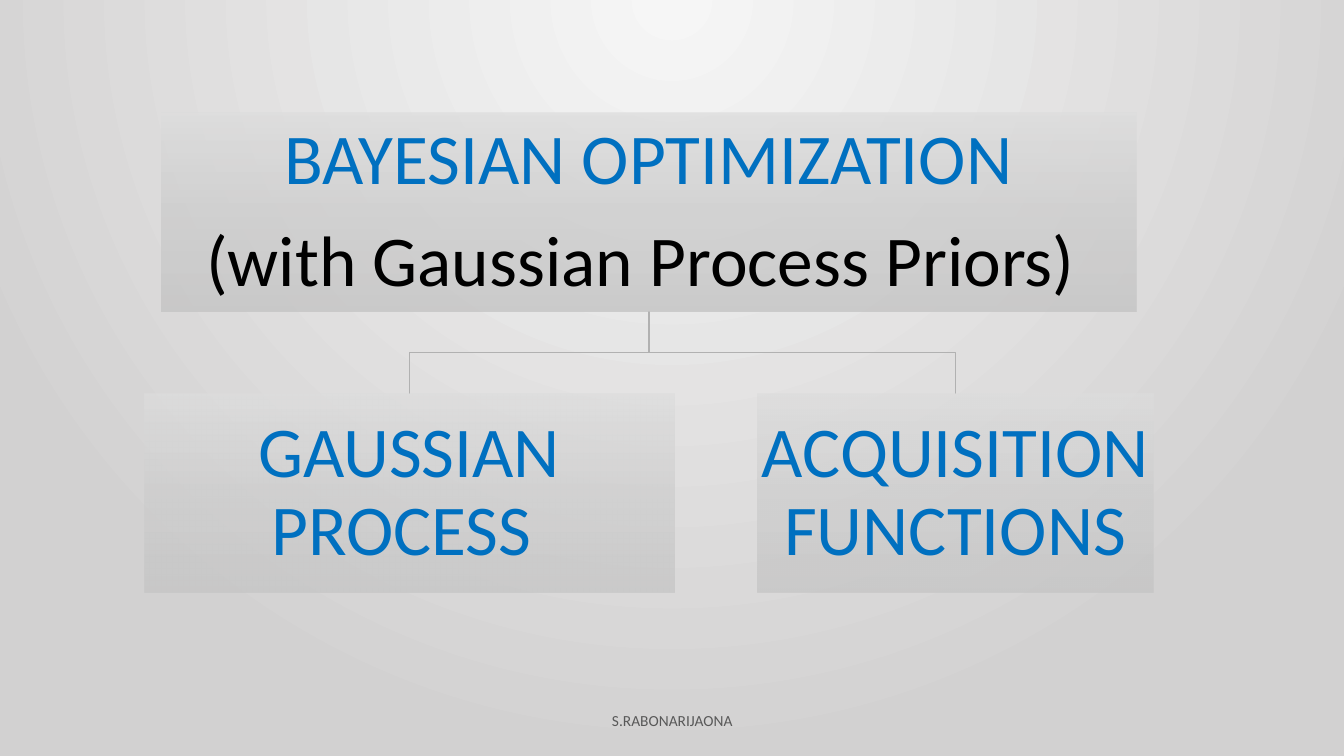
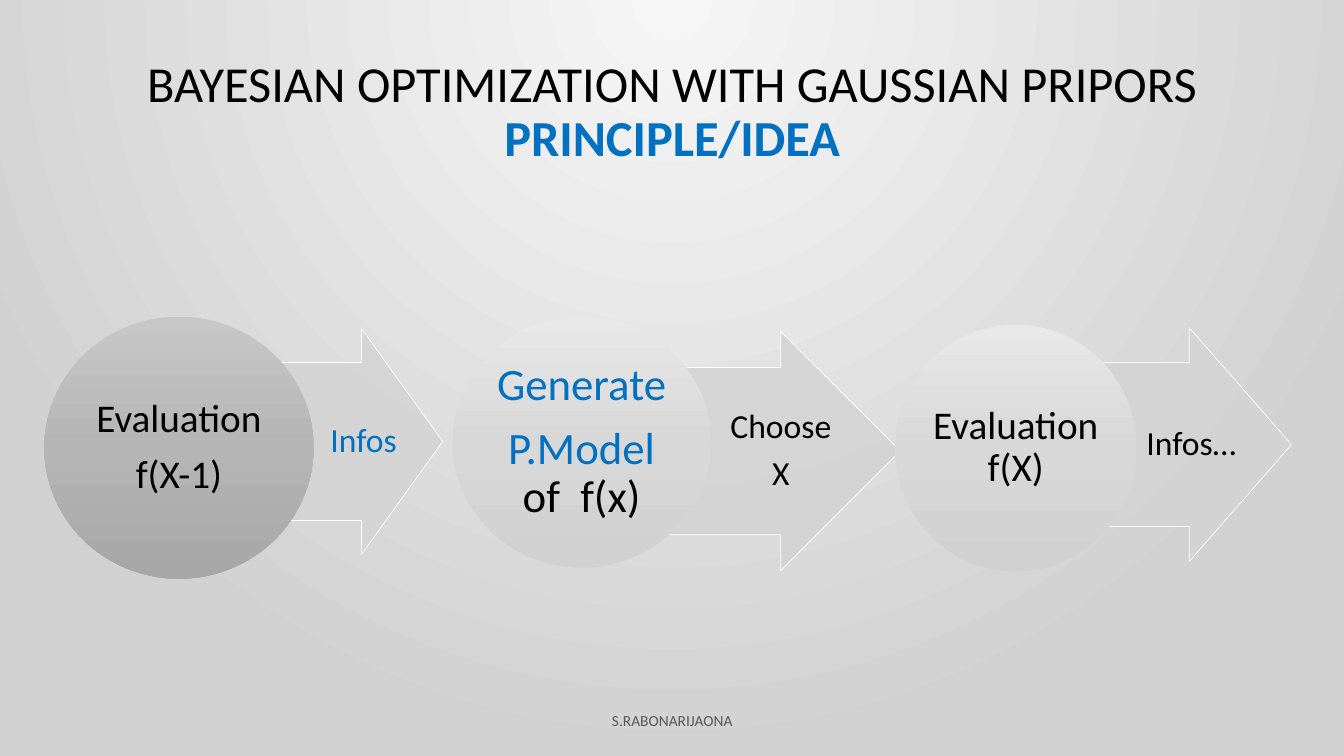
from dataclasses import dataclass

from pptx import Presentation
from pptx.dml.color import RGBColor
from pptx.enum.shapes import MSO_SHAPE as Preset
from pptx.enum.text import MSO_ANCHOR as Anchor, PP_ALIGN as Align
from pptx.oxml import parse_xml
from pptx.oxml.ns import nsdecls, qn
from pptx.util import Inches, Pt

FONT = "Calibri"
BLUE = RGBColor(0x00, 0x70, 0xC0)
BLACK = RGBColor(0x00, 0x00, 0x00)
FOOTER_GREY = RGBColor(0x59, 0x59, 0x59)
BRANCH_GREY = RGBColor(0xB1, 0xB1, 0xB1)
ARROW_GREY = RGBColor(0xD4, 0xD4, 0xD4)
WHITE = RGBColor(0xFF, 0xFF, 0xFF)
BACKDROP = (RGBColor(0xF6, 0xF6, 0xF6), RGBColor(0xD2, 0xD1, 0xD1))
PANEL = (RGBColor(0xDD, 0xDD, 0xDD), RGBColor(0xCD, 0xCD, 0xCD), RGBColor(0xC4, 0xC4, 0xC4))
DARK_DISC = (RGBColor(0xC7, 0xC7, 0xC7), RGBColor(0xB5, 0xB5, 0xB5), RGBColor(0xA7, 0xA7, 0xA7))
LIGHT_DISC = (RGBColor(0xE8, 0xE8, 0xE8), RGBColor(0xD8, 0xD8, 0xD8), RGBColor(0xD1, 0xD1, 0xD1))

DOWNWARD = '<a:lin {} ang="5400000" scaled="0"/>'
FROM_TOP = ('<a:path {} path="circle">'
            '<a:fillToRect l="43000" t="0" r="43000" b="100000"/></a:path>')


@dataclass
class Box:
    left: int
    top: int
    width: int
    height: int

    def inner(self, left, top, width, height):
        """Return an inner box given in percent of this one."""
        return Box(self.left + round(self.width * left / 100),
                   self.top + round(self.height * top / 100),
                   round(self.width * width / 100),
                   round(self.height * height / 100))

    @property
    def frame(self):
        return self.left, self.top, self.width, self.height

    @property
    def middle(self):
        return self.left + self.width // 2

    @property
    def bottom(self):
        return self.top + self.height


SLIDE = Box(0, 0, Inches(13.33), Inches(7.5))
TITLE = SLIDE.inner(6.9, 5.33, 86.25, 19.33)
FOOTER = SLIDE.inner(33.15, 92.67, 33.75, 5.33)
TREE = SLIDE.inner(10.73, 14.93, 75.09, 63.47)
CHAIN = SLIDE.inner(3.3, 41.87, 92.8, 34.67)


# Fills
def set_alpha(color_parent, percent):
    color = next(color_parent.iter(qn("a:srgbClr")))
    color.append(parse_xml(f'<a:alpha {nsdecls("a")} val="{percent * 1000}"/>'))


def fill_gradient(owner, fill, colors, alpha=100, direction=DOWNWARD):
    fill.gradient()
    gradient = next(owner.iter(qn("a:gradFill")))
    for child in list(gradient):
        gradient.remove(child)
    step = 100000 // (len(colors) - 1)
    stops = "".join(
        f'<a:gs pos="{i * step}"><a:srgbClr val="{color}">'
        f'<a:alpha val="{alpha * 1000}"/></a:srgbClr></a:gs>'
        for i, color in enumerate(colors))
    gradient.append(parse_xml(f'<a:gsLst {nsdecls("a")}>{stops}</a:gsLst>'))
    gradient.append(parse_xml(direction.format(nsdecls("a"))))


# Text: a paragraph is a list of (words, color, bold) runs
def write(shape, paragraphs, size, insets=None, spacing=0.9, after=0.35):
    frame = shape.text_frame
    frame.word_wrap = True
    frame.vertical_anchor = Anchor.MIDDLE
    if insets:
        (frame.margin_left, frame.margin_top,
         frame.margin_right, frame.margin_bottom) = map(Inches, insets)
    for i, runs in enumerate(paragraphs):
        paragraph = frame.paragraphs[0] if i == 0 else frame.add_paragraph()
        paragraph.alignment = Align.CENTER
        paragraph.line_spacing = spacing
        paragraph.space_after = Pt(round(size * after))
        for words, color, *bold in runs:
            if words == "\n":
                paragraph.add_line_break()
                continue
            run = paragraph.add_run()
            run.text = words
            run.font.name = FONT
            run.font.size = Pt(size)
            run.font.color.rgb = color
            run.font.bold = bool(bold)


def add_preset(slide, preset, box):
    shape = slide.shapes.add_shape(preset, *box.frame)
    shape.shadow.inherit = False
    shape.line.fill.background()
    return shape


# Shared slide parts
def add_slide(deck):
    slide = deck.slides.add_slide(deck.slide_layouts[6])
    footer = slide.shapes.add_textbox(*FOOTER.frame)
    write(footer, [[("S.RABONARIJAONA", FOOTER_GREY)]], 11, spacing=1, after=0)
    return slide


def add_title(slide, box, topic, aspect):
    title = slide.shapes.add_textbox(*box.frame)
    write(title, [[(topic, BLACK), ("\n", BLACK), (aspect, BLUE, True)]], 36, after=0)


# Tree of topics
def add_branch(slide, parent, child):
    fork = (parent.bottom + child.top) // 2
    outline = slide.shapes.build_freeform(parent.middle, parent.bottom)
    outline.add_line_segments([(parent.middle, fork), (child.middle, fork),
                               (child.middle, child.top)], close=False)
    branch = outline.convert_to_shape()
    branch.shadow.inherit = False
    branch.fill.background()
    branch.line.color.rgb = BRANCH_GREY
    branch.line.width = Pt(1)


def add_topic(slide, box, paragraphs, alpha):
    topic = add_preset(slide, Preset.RECTANGLE, box)
    fill_gradient(topic.element, topic.fill, PANEL, alpha)
    write(topic, paragraphs, 51, (0.04,) * 4)


def add_tree(slide, box):
    row = 41.39
    root = box.inner(1.7, 0, 96.6, row)
    process = box.inner(0, 100 - row, 52.55, row)
    acquisition = box.inner(60.74, 100 - row, 39.26, row)
    for child in (acquisition, process):
        add_branch(slide, root, child)
    add_topic(slide, root, [[("BAYESIAN OPTIMIZATION", BLUE)],
                            [("(with Gaussian Process Priors) ", BLACK)]], 80)
    add_topic(slide, process, [[("GAUSSIAN PROCESS ", BLUE)]], 70)
    add_topic(slide, acquisition, [[("ACQUISITION FUNCTIONS", BLUE)]], 70)


# Chain of steps
def add_arrow(slide, box, paragraphs):
    arrow = add_preset(slide, Preset.RIGHT_ARROW, box)
    arrow.adjustments[0] = 0.7
    arrow.fill.solid()
    arrow.fill.fore_color.rgb = ARROW_GREY
    set_alpha(arrow.element, 90)
    arrow.line.color.rgb = WHITE
    arrow.line.width = Pt(0.5)
    label = slide.shapes.add_textbox(*box.inner(25, 15, 50, 70).frame)
    write(label, paragraphs, 24, (0.07, 0.02, 0.03, 0.02))


def add_disc(slide, box, colors, paragraphs, size):
    disc = add_preset(slide, Preset.OVAL, box)
    fill_gradient(disc.element, disc.fill, colors)
    write(disc, paragraphs, size, (0.02,) * 4)


def add_chain(slide, box):
    # arrow place, arrow text, disc place, disc colors, disc text, disc text size
    steps = [
        ((18.92, 4.62, 13.02, 86.15), [[("Infos ", BLUE)]],
         (0, 0, 21.58, 100), DARK_DISC,
         [[("Evaluation", BLACK)], [("f(X-1)", BLACK)]], 28),
        ((49.15, 5.77, 19.48, 91.15), [[("Choose", BLACK)], [("X", BLACK)]],
         (32.74, 0, 20.7, 95.77), LIGHT_DISC,
         [[("Generate", BLUE)], [("P.Model ", BLUE), ("of  f(x)", BLACK)]], 32),
        ((83.59, 4.23, 16.41, 89.23), [[("Infos…", BLACK)]],
         (68.23, 3.08, 19.32, 94.23), LIGHT_DISC,
         [[("Evaluation f(X)", BLACK)]], 28),
    ]
    for arrow_place, output, disc_place, colors, action, size in steps:
        add_arrow(slide, box.inner(*arrow_place), output)
        add_disc(slide, box.inner(*disc_place), colors, action, size)


def main():
    deck = Presentation()
    deck.slide_width, deck.slide_height = SLIDE.width, SLIDE.height
    master = deck.slide_master
    fill_gradient(master.element, master.background.fill, BACKDROP, direction=FROM_TOP)

    add_tree(add_slide(deck), TREE)

    principle = add_slide(deck)
    add_title(principle, TITLE, "BAYESIAN OPTIMIZATION WITH GAUSSIAN PRIPORS",
              "PRINCIPLE/IDEA")
    add_chain(principle, CHAIN)

    deck.save("out.pptx")


if __name__ == "__main__":
    main()
